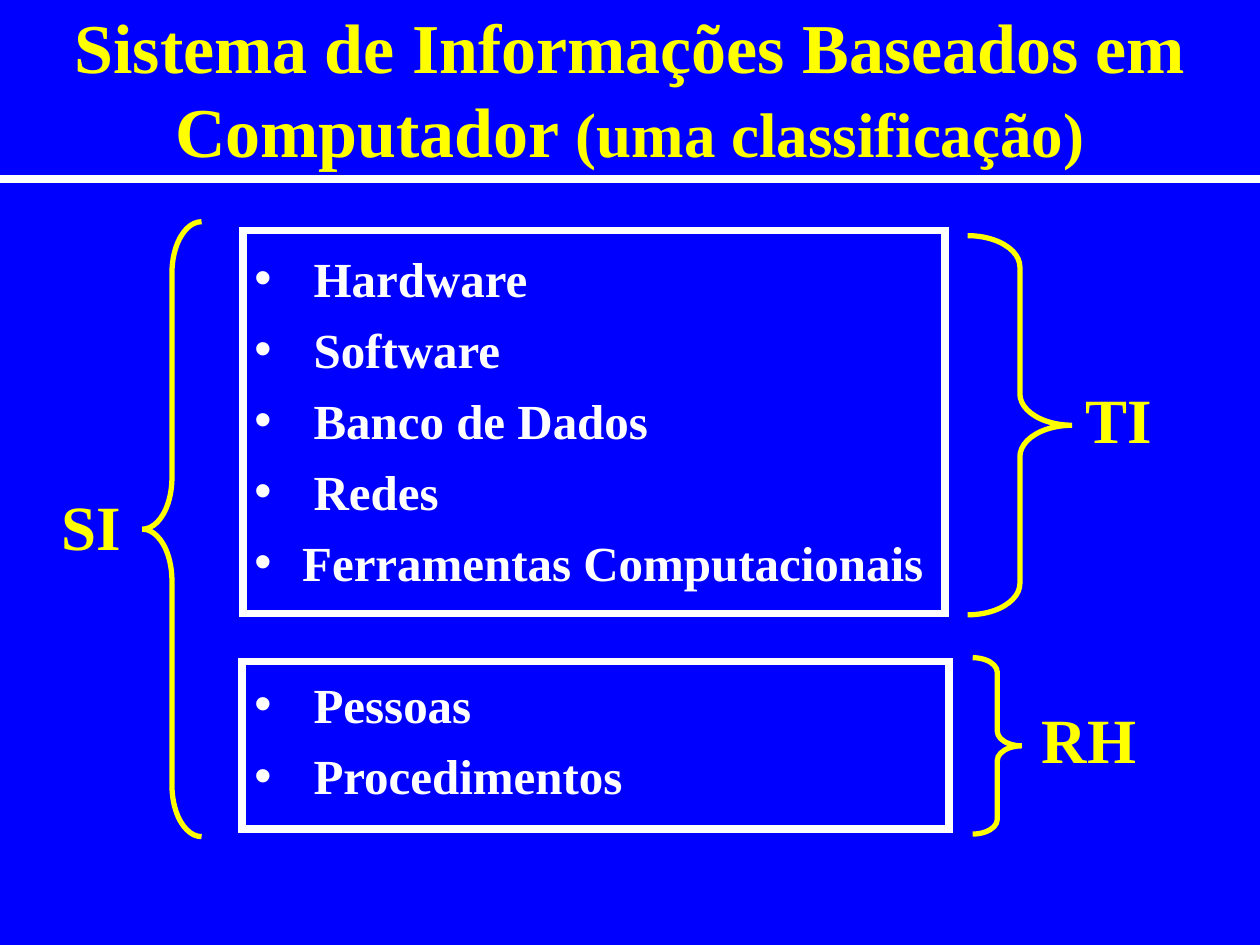
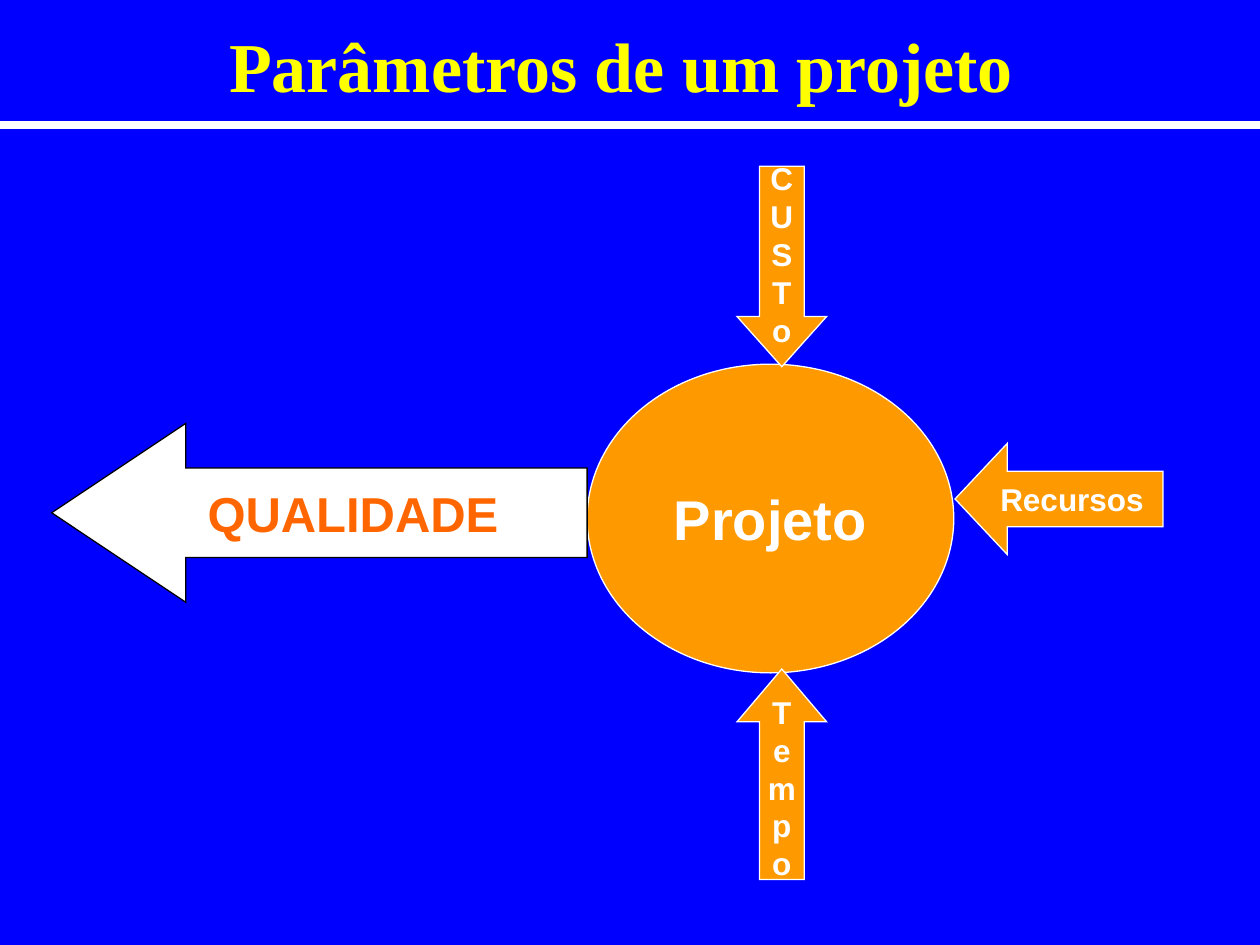
import dataclasses

import lxml.etree
import pptx
import pptx.dml.color
import pptx.enum.shapes
import pptx.enum.text
import pptx.oxml.ns
import pptx.util

Inches = pptx.util.Inches
Pt = pptx.util.Pt
Shape = pptx.enum.shapes.MSO_SHAPE
Align = pptx.enum.text.PP_ALIGN
Anchor = pptx.enum.text.MSO_ANCHOR
AutoSize = pptx.enum.text.MSO_AUTO_SIZE
qn = pptx.oxml.ns.qn


@dataclasses.dataclass(frozen=True)
class Theme:
    blue: str = "0000FF"
    yellow: str = "FFFF00"
    white: str = "FFFFFF"
    black: str = "000000"
    orange: str = "FF9900"
    dark_orange: str = "FF6600"
    serif: str = "Times New Roman"
    sans: str = "Arial"
    title: int = 40
    label: int = 36
    project: int = 32
    body: int = 28
    factor: int = 18
    thick: float = 4.5
    medium: float = 3
    thin: float = 0.75


def rgb(colour):
    return pptx.dml.color.RGBColor.from_string(colour)


class Deck:
    def __init__(self, theme):
        self.theme = theme
        self.presentation = pptx.Presentation()
        self.presentation.slide_width = Inches(10)
        self.presentation.slide_height = Inches(7.5)
        backdrop = self.presentation.slide_master.background.fill
        backdrop.solid()
        backdrop.fore_color.rgb = rgb(theme.blue)
        self.slide = None

    def run(self, paragraph, text, size, colour, font):
        piece = paragraph.add_run()
        piece.text = text
        piece.font.size = Pt(size)
        piece.font.name = font
        piece.font.bold = True
        piece.font.color.rgb = rgb(colour)

    def paragraph(self, frame, index, align=Align.LEFT):
        """Return the frame's first paragraph, or a new one after it."""
        paragraph = frame.add_paragraph() if index else frame.paragraphs[0]
        paragraph.alignment = align
        return paragraph

    def titled_slide(self, box, rule_top, runs):
        """Start a slide with its title and the white rule below it."""
        theme = self.theme
        self.slide = self.presentation.slides.add_slide(
            self.presentation.slide_layouts.get_by_name("Title Only"))
        title = self.slide.shapes.title
        title.left, title.top, title.width, title.height = map(Inches, box)
        frame = title.text_frame
        frame.word_wrap = True
        frame.auto_size = AutoSize.NONE
        frame.vertical_anchor = Anchor.MIDDLE
        heading = self.paragraph(frame, 0, Align.CENTER)
        for text, size in runs:
            self.run(heading, text, size, theme.yellow, theme.serif)

        rule = self.slide.shapes.add_connector(
            pptx.enum.shapes.MSO_CONNECTOR.STRAIGHT,
            Inches(0), Inches(rule_top), Inches(10), Inches(rule_top))
        rule.line.color.rgb = rgb(theme.white)
        rule.line.width = Pt(theme.thick)
        lxml.etree.SubElement(rule._element.spPr, qn("a:effectLst"))

    def shape(self, kind, box, line, width, fill=None, adjustments=()):
        shape = self.slide.shapes.add_shape(kind, *map(Inches, box))
        shape.shadow.inherit = False
        for index, value in enumerate(adjustments):
            shape.adjustments[index] = value
        if fill:
            shape.fill.solid()
            shape.fill.fore_color.rgb = rgb(fill)
        else:
            shape.fill.background()
        shape.line.color.rgb = rgb(line)
        shape.line.width = Pt(width)
        outline = shape._element.spPr.find(qn("a:ln"))
        lxml.etree.SubElement(outline, qn("a:miter"), lim="800000")
        return shape

    def frame(self, box):
        self.shape(Shape.RECTANGLE, box, self.theme.white, self.theme.thick)

    def brace(self, kind, box, curve):
        self.shape(kind, box, self.theme.yellow, self.theme.medium,
                   adjustments=(curve, 0.5))

    def text_box(self, box):
        text_box = self.slide.shapes.add_textbox(*map(Inches, box))
        text_box.text_frame.word_wrap = True
        return text_box.text_frame

    def label(self, text, box):
        theme = self.theme
        frame = self.text_box(box)
        frame.auto_size = AutoSize.SHAPE_TO_FIT_TEXT
        self.run(self.paragraph(frame, 0), text, theme.label, theme.yellow, theme.serif)

    def bullets(self, box, items):
        """Write items of (text, text indent in inches, space before in points)."""
        theme = self.theme
        frame = self.text_box(box)
        for index, (text, indent, before) in enumerate(items):
            item = self.paragraph(frame, index)
            if index:
                item.space_before = Pt(before)
            properties = item._p.get_or_add_pPr()
            properties.set("marL", str(Inches(indent)))
            properties.set("indent", str(-Inches(indent)))
            colour = lxml.etree.SubElement(properties, qn("a:buClr"))
            lxml.etree.SubElement(colour, qn("a:srgbClr"), val=theme.white)
            lxml.etree.SubElement(properties, qn("a:buFont"), typeface=theme.sans)
            lxml.etree.SubElement(properties, qn("a:buChar"), char="•")
            self.run(item, text, theme.body, theme.white, theme.serif)

    def block(self, kind, box, lines, size, adjustments=(), fill=None,
              line=None, colour=None):
        """Draw a filled shape with one centred paragraph for each line."""
        theme = self.theme
        shape = self.shape(kind, box, line or theme.white, theme.thin,
                           fill or theme.orange, adjustments)
        frame = shape.text_frame
        frame.word_wrap = False
        frame.vertical_anchor = Anchor.MIDDLE
        for index, text in enumerate(lines):
            self.run(self.paragraph(frame, index, Align.CENTER), text, size,
                     colour or theme.white, theme.sans)


def classification(deck):
    theme = deck.theme
    deck.titled_slide((0, 0.21, 10, 0.97), 1.42, [
        ("Sistema de Informações Baseados em Computador", theme.title),
        (" (uma classificação)", theme.label)])

    near, far = 0.38, 0.47
    gap, group_gap = 7, 47.6
    deck.bullets((1.92, 1.92, 5.85, 4.81), [
        ("Hardware", far, gap),
        ("Software", far, gap),
        ("Banco de Dados", far, gap),
        ("Redes", far, gap),
        ("Ferramentas Computacionais", near, gap),
        ("Pessoas", far, group_gap),
        ("Procedimentos", far, gap)])
    deck.frame((1.93, 1.83, 5.57, 3.04))
    deck.frame((1.92, 5.25, 5.61, 1.33))

    for kind, brace, curve, text, label in [
            (Shape.RIGHT_BRACE, (7.68, 1.87, 0.83, 3.01), 0.3,
             "TI", (8.52, 2.97, 0.83, 0.7)),
            (Shape.LEFT_BRACE, (1.13, 1.76, 0.47, 4.88), 0.87,
             "SI", (0.39, 3.82, 0.78, 0.7)),
            (Shape.RIGHT_BRACE, (7.72, 5.22, 0.39, 1.4), 0.3,
             "RH", (8.17, 5.51, 1.01, 0.7))]:
        deck.brace(kind, brace, curve)
        deck.label(text, label)


def project_parameters(deck):
    theme = deck.theme
    deck.titled_slide((0.68, 0.17, 8.5, 0.69), 0.99,
                      [("Parâmetros de um projeto", theme.title)])
    deck.block(Shape.OVAL, (4.66, 2.89, 2.91, 2.45), ["Projeto"], theme.project)
    for kind, box, lines, head in [
            (Shape.LEFT_ARROW, (7.58, 3.52, 1.65, 0.88), ["Recursos"], 0.47),
            (Shape.UP_ARROW, (5.85, 5.31, 0.71, 1.67), "Tempo", 0.59),
            (Shape.DOWN_ARROW, (5.85, 1.32, 0.71, 1.59), "CUSTo", 0.56)]:
        deck.block(kind, box, lines, theme.factor, (0.5, head))
    deck.block(Shape.LEFT_ARROW, (0.41, 3.36, 4.25, 1.42), ["QUALIDADE"], theme.body,
               (0.5, 0.75), theme.white, theme.black, theme.dark_orange)


def main():
    deck = Deck(Theme())
    classification(deck)
    project_parameters(deck)
    deck.presentation.save("out.pptx")


if __name__ == "__main__":
    main()
